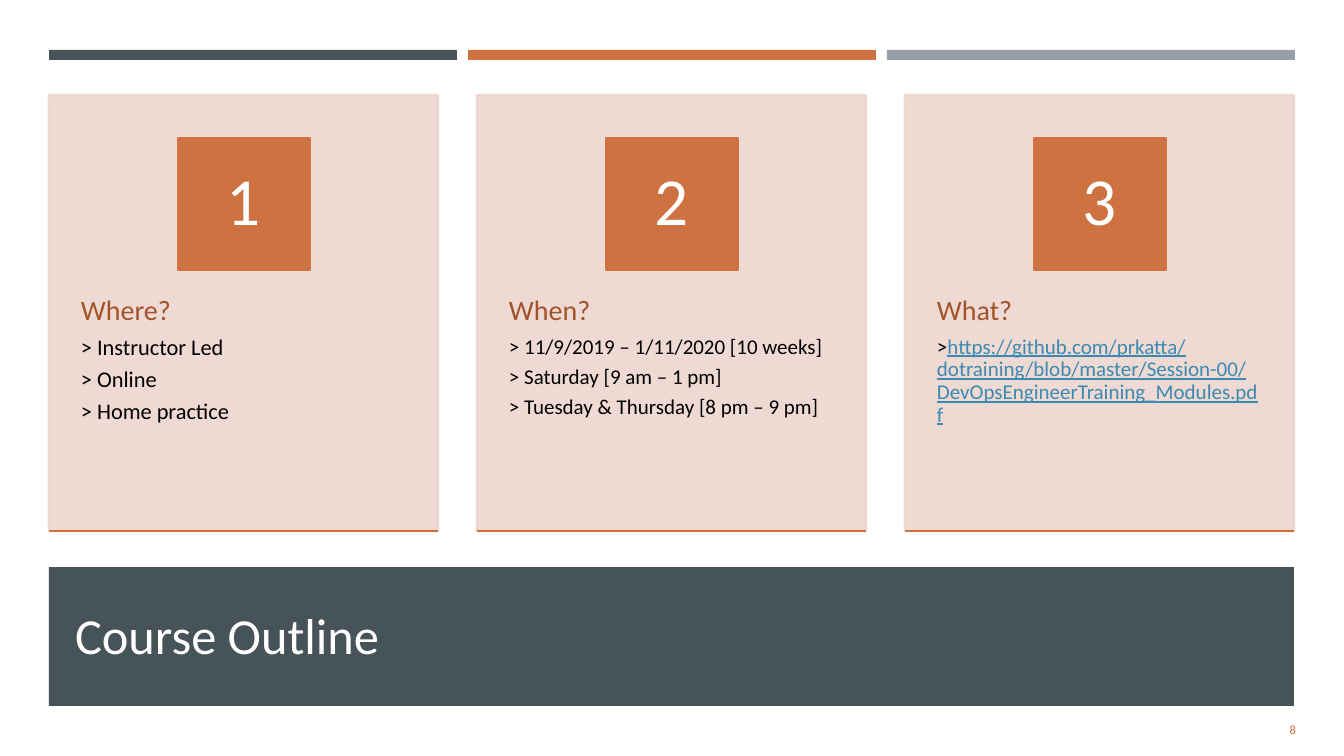
import lxml.etree
import pptx
import pptx.dml.color
import pptx.enum.shapes
import pptx.enum.text
import pptx.oxml.ns
import pptx.util

RGBColor = pptx.dml.color.RGBColor
ALIGN = pptx.enum.text.PP_ALIGN
ANCHOR = pptx.enum.text.MSO_ANCHOR

SLATE = RGBColor(0x46, 0x53, 0x59)
ORANGE = RGBColor(0xCE, 0x72, 0x42)
GREY = RGBColor(0x96, 0x9F, 0xA7)
BLUSH = RGBColor(0xED, 0xD5, 0xCF)
RUST = RGBColor(0xA2, 0x53, 0x2A)
LINK_BLUE = RGBColor(0x3B, 0x8A, 0xB3)
OFF_WHITE = RGBColor(0xFF, 0xFE, 0xFF)
WHITE = RGBColor(0xFF, 0xFF, 0xFF)
BLACK = RGBColor(0, 0, 0)

EMU_PER_PX = 914400 / 100.8
PAGE_WIDTH, PAGE_HEIGHT = 1344, 756
MARGIN = 49
BAR_PITCH, BAR_WIDTH = 419, 408
CARD_PITCH, CARD_WIDTH, CARD_TOP, CARD_HEIGHT = 428, 389, 95, 436
TILE_SIZE, TILE_TOP = 132, 138

# Heading, body size in points, lines; each line is a list of (text, is_link).
CARDS = [
    ("Where?", 16, [[("> Instructor Led", False)],
                    [("> Online", False)],
                    [("> Home practice", False)]]),
    ("When?", 15, [[("> 11/9/2019 – 1/11/2020 [10 weeks]", False)],
                   [("> Saturday [9 am – 1 pm]", False)],
                   [("> Tuesday & Thursday [8 pm – 9 pm]", False)]]),
    ("What?", 15, [[(">", False),
                    ("https://github.com/prkatta/dotraining/blob/master/"
                     "Session-00/DevOpsEngineerTraining_Modules.pdf", True)]]),
]


def px(length):
    return pptx.util.Emu(round(length * EMU_PER_PX))


class SlidePainter:
    """Holds the current slide and its text style."""

    font_name = "Calibri"
    line_width = pptx.util.Pt(1.75)

    def __init__(self, page):
        self.page = page

    def style_span(self, span, size, color):
        span.font.name = self.font_name
        span.font.size = pptx.util.Pt(size)
        span.font.color.rgb = color

    def style_paragraph(self, para, size):
        para.line_spacing = 0.9
        para.space_after = pptx.util.Pt(round(size * 0.35, 1))

    def frame(self, shape, insets=(10, 5, 10, 5), anchor=ANCHOR.TOP):
        frame = shape.text_frame
        frame.word_wrap = True
        frame.auto_size = pptx.enum.text.MSO_AUTO_SIZE.NONE
        frame.vertical_anchor = anchor
        (frame.margin_left, frame.margin_top,
         frame.margin_right, frame.margin_bottom) = map(px, insets)
        return frame

    def single_line(self, frame, text, size, color, align):
        frame.text = text
        para = frame.paragraphs[0]
        para.alignment = align
        self.style_span(para.runs[0], size, color)
        return para

    def rectangle(self, left, top, width, height, color, outlined=False):
        shape = self.page.shapes.add_shape(
            pptx.enum.shapes.MSO_SHAPE.RECTANGLE,
            px(left), px(top), px(width), px(height))
        shape.shadow.inherit = False
        shape.fill.solid()
        shape.fill.fore_color.rgb = color
        if outlined:
            shape.line.color.rgb = color
            shape.line.width = self.line_width
        else:
            shape.line.fill.background()
        return shape

    def make_translucent(self, shape, percent):
        """Apply an opacity to the fill and the outline."""
        tag = pptx.oxml.ns.qn("a:srgbClr")
        for color in shape.element.spPr.iter(tag):
            alpha = lxml.etree.SubElement(color, pptx.oxml.ns.qn("a:alpha"))
            alpha.set("val", str(percent * 1000))

    def rule(self, left, top, width):
        line = self.page.shapes.add_connector(
            pptx.enum.shapes.MSO_CONNECTOR.STRAIGHT,
            px(left), px(top), px(left + width), px(top))
        line.line.color.rgb = ORANGE
        line.line.width = self.line_width
        lxml.etree.SubElement(line.element.spPr, pptx.oxml.ns.qn("a:effectLst"))

    def text_box(self, left, top, width, height):
        return self.page.shapes.add_textbox(
            px(left), px(top), px(width), px(height))

    def title_band(self, text):
        band = self.rectangle(MARGIN, 567, 1245, 139, SLATE)
        title = self.page.shapes.title
        band.element.addnext(title.element)
        title.left, title.top, title.width, title.height = map(
            px, (65, 581, 1216, 106))
        frame = self.frame(title, anchor=ANCHOR.MIDDLE)
        self.single_line(frame, text, 36, OFF_WHITE, ALIGN.LEFT)

    def page_number(self, text):
        box = self.text_box(1190, 709, 116, 40)
        frame = self.frame(box, anchor=ANCHOR.MIDDLE)
        self.single_line(frame, text, 9, ORANGE, ALIGN.RIGHT)

    def number_tile(self, left, number):
        tile = self.rectangle(left, TILE_TOP, TILE_SIZE, TILE_SIZE, ORANGE, True)
        frame = self.frame(tile, (10, 1, 10, 1), ANCHOR.MIDDLE)
        para = self.single_line(frame, str(number), 48, WHITE, ALIGN.CENTER)
        para.line_spacing = 0.9

    def card_text(self, left, heading, size, lines):
        box = self.text_box(left, 260, CARD_WIDTH, 262)
        frame = self.frame(box, (32, 36, 30, 36))
        para = self.single_line(frame, heading, 20, RUST, ALIGN.LEFT)
        self.style_paragraph(para, 20)
        for line in lines:
            para = frame.add_paragraph()
            self.style_paragraph(para, size)
            for text, is_link in line:
                span = para.add_run()
                span.text = text
                self.style_span(span, size, LINK_BLUE if is_link else BLACK)
                if is_link:
                    span.font.underline = True

    def card(self, number, left, heading, size, lines):
        panel = self.rectangle(left, CARD_TOP, CARD_WIDTH, CARD_HEIGHT, BLUSH, True)
        self.make_translucent(panel, 90)
        self.card_text(left, heading, size, lines)
        self.number_tile(left + (CARD_WIDTH - TILE_SIZE) // 2 + 1, number)
        self.rule(left, CARD_TOP + CARD_HEIGHT, CARD_WIDTH)


def main():
    deck = pptx.Presentation()
    deck.slide_width, deck.slide_height = px(PAGE_WIDTH), px(PAGE_HEIGHT)
    page = deck.slides.add_slide(deck.slide_layouts.get_by_name("Title Only"))
    page.background.fill.solid()
    page.background.fill.fore_color.rgb = WHITE

    painter = SlidePainter(page)
    painter.title_band("Course Outline")
    for index, color in enumerate((SLATE, ORANGE, GREY)):
        painter.rectangle(MARGIN + index * BAR_PITCH, 50, BAR_WIDTH, 10, color)
    painter.page_number("8")
    for index, (heading, size, lines) in enumerate(CARDS):
        painter.card(index + 1, MARGIN + index * CARD_PITCH, heading, size, lines)

    deck.save("out.pptx")


if __name__ == "__main__":
    main()
